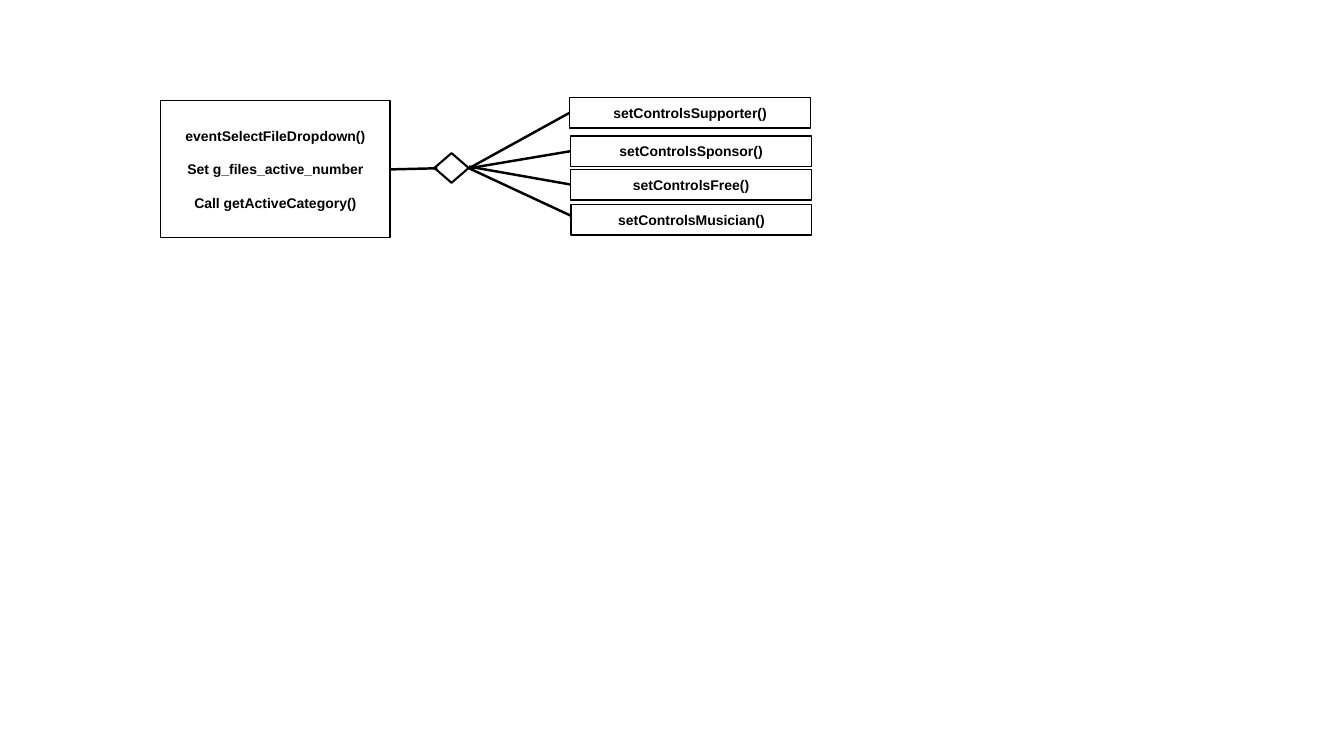
from lxml import etree
from pptx import Presentation
from pptx.dml.color import RGBColor
from pptx.enum.shapes import MSO_CONNECTOR, MSO_SHAPE
from pptx.enum.text import MSO_ANCHOR, PP_ALIGN
from pptx.oxml.ns import qn
from pptx.util import Pt

RECTANGLE, DIAMOND = MSO_SHAPE.RECTANGLE, MSO_SHAPE.DIAMOND
STRAIGHT = MSO_CONNECTOR.STRAIGHT
MIDDLE, CENTER = MSO_ANCHOR.MIDDLE, PP_ALIGN.CENTER
COLORS = {"ink": "000000"}
INK = RGBColor.from_string(COLORS["ink"])

prs = Presentation()
prs.slide_width, prs.slide_height = Pt(960), Pt(540)
slide = prs.slides.add_slide(prs.slide_layouts[6])


def add_node(text, left, top, width, height, kind=RECTANGLE, outline=1, size=10, gap=12):
    """Add an unfilled outlined shape; each line of text is a paragraph."""
    node = slide.shapes.add_shape(kind, Pt(left), Pt(top), Pt(width), Pt(height))
    node.shadow.inherit = False
    node.fill.background()
    node.line.color.rgb = INK
    node.line.width = Pt(outline)
    frame = node.text_frame
    frame.text = text
    frame.word_wrap = True
    frame.vertical_anchor = MIDDLE
    for index, paragraph in enumerate(frame.paragraphs):
        paragraph.alignment = CENTER
        paragraph.space_before = Pt(gap if index else 0)
        font = paragraph.font
        font.name, font.size, font.bold = "Arial", Pt(size), True
        font.color.rgb = INK


def add_link(x1, y1, x2, y2):
    link = slide.shapes.add_connector(STRAIGHT, Pt(x1), Pt(y1), Pt(x2), Pt(y2))
    link.line.color.rgb = INK
    link.line.width = Pt(1.75)
    etree.SubElement(link._element.spPr, qn("a:effectLst"))


# Event handler and its decision
add_node(
    "eventSelectFileDropdown()\nSet g_files_active_number\nCall getActiveCategory()",
    114.5, 72, 164.2, 97.9,
)
add_link(312.5, 120.2, 279.4, 121)
add_node("", 310.3, 109.4, 24.5, 21.2, kind=DIAMOND, outline=1.5)

# One branch per category: function, box left, box top, link end, link start
branches = [
    ("setControlsSupporter()", 406.8, 69.8, 80.6, 120.2),
    ("setControlsSponsor()", 407.5, 97.2, 108, 120.2),
    ("setControlsFree()", 407.5, 121, 131.8, 119),
    ("setControlsMusician()", 407.8, 146.2, 154.1, 120.2),
]
for function, left, top, link_end, link_start in branches:
    add_node(function, left, top, 172.1, 21.8)
    add_link(left, link_end, 335, link_start)

prs.save("out.pptx")
